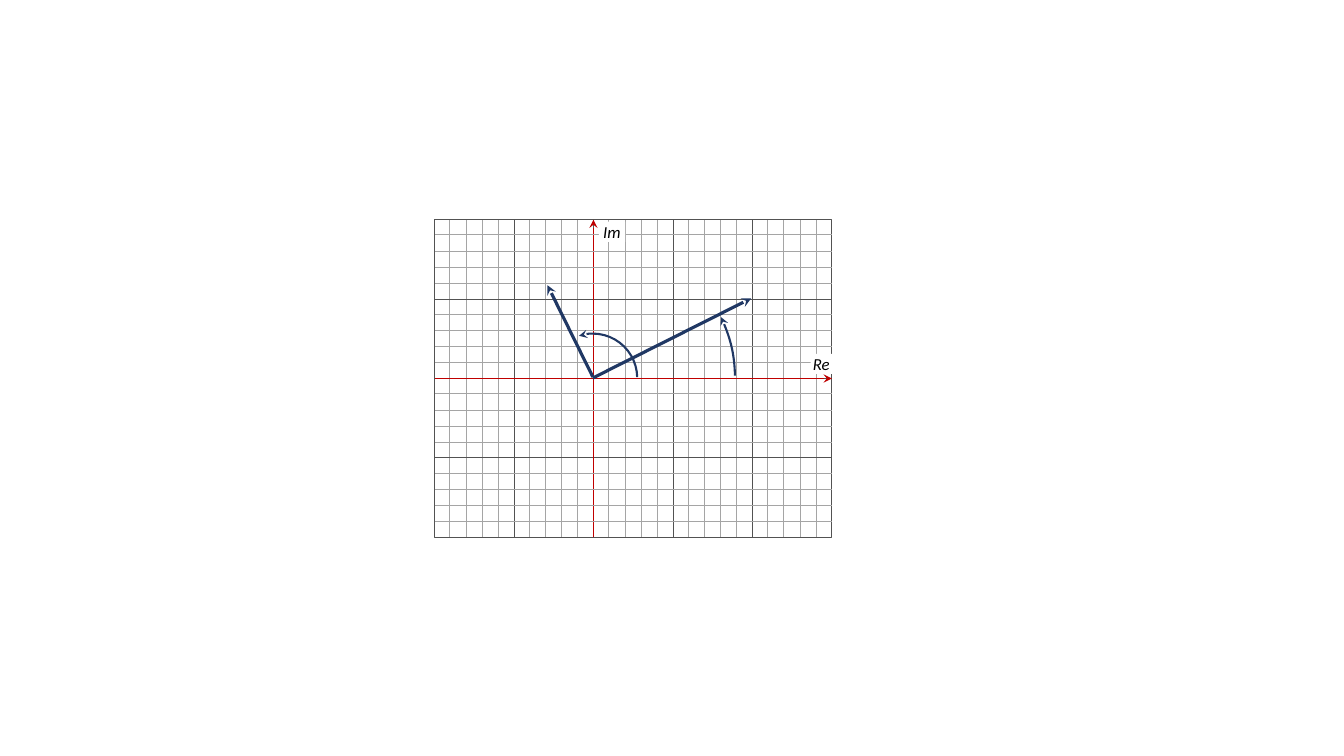
import pptx
import pptx.dml.color
import pptx.enum.shapes
import pptx.enum.text
import pptx.oxml
import pptx.oxml.ns
import pptx.util

Inches = pptx.util.Inches
Pt = pptx.util.Pt
RGBColor = pptx.dml.color.RGBColor
SHAPE = pptx.enum.shapes.MSO_SHAPE

LIGHT_GREY = RGBColor(0xA5, 0xA5, 0xA5)
DARK_GREY = RGBColor(0x52, 0x52, 0x52)
RED = RGBColor(0xC0, 0x00, 0x00)
NAVY = RGBColor(0x20, 0x38, 0x64)
WHITE = RGBColor(0xFF, 0xFF, 0xFF)
BLACK = RGBColor(0x00, 0x00, 0x00)

# Grid, in inches
LEFT, TOP, WIDTH, HEIGHT = 4.31, 2.18, 3.94, 3.15
RIGHT, BOTTOM = LEFT + WIDTH, TOP + HEIGHT
COLUMNS, ROWS = 5, 4
MINOR_OFFSETS = (0.15, 0.31, 0.47, 0.63)
ORIGIN_X = LEFT + 2 * WIDTH / COLUMNS
ORIGIN_Y = TOP + 2 * HEIGHT / ROWS

# Start and end of each vector
VECTORS = [
    ((5.88, 3.75), (7.45, 2.96)),
    ((5.88, 3.74), (5.43, 2.83)),
]
# Text, left, top, width, height
AXIS_LABELS = [
    ("Re", 8.04, 3.51, 0.21, 0.2),
    ("Im", 5.94, 2.2, 0.26, 0.2),
]
# Left, top, diameter, start angle, end angle (degrees clockwise)
ANGLE_ARCS = [
    (4.48, 2.35, 2.81, 334.29, 358.87),
    (5.44, 3.31, 0.88, 251.82, 358.87),
]


def set_line(shape, color, width, arrow=None):
    """Colour the line; arrow is "headEnd" (at start) or "tailEnd" (at end)."""
    shape.line.color.rgb = color
    shape.line.width = Pt(width)
    if arrow:
        end = pptx.oxml.parse_xml(
            f'<a:{arrow} {pptx.oxml.ns.nsdecls("a")} type="stealth"/>')
        shape.line._get_or_add_ln().append(end)


def add_line(page, start, end, color, width, arrow=None):
    line = page.shapes.add_connector(
        pptx.enum.shapes.MSO_CONNECTOR.STRAIGHT,
        *(Inches(value) for value in (*start, *end)))
    set_line(line, color, width, arrow)
    line._element.spPr.append(
        pptx.oxml.parse_xml(f'<a:effectLst {pptx.oxml.ns.nsdecls("a")}/>'))


def add_shape(page, kind, left, top, width, height):
    shape = page.shapes.add_shape(
        kind, Inches(left), Inches(top), Inches(width), Inches(height))
    shape.shadow.inherit = False
    shape.fill.background()
    return shape


def add_columns(page, positions, color, width):
    for x in positions:
        add_line(page, (x, TOP), (x, BOTTOM), color, width)


def add_rows(page, positions, color, width):
    for y in positions:
        add_line(page, (LEFT, y), (RIGHT, y), color, width)


def minor_positions(start, length, count):
    return [start + cell * length / count + offset
            for cell in range(count) for offset in MINOR_OFFSETS]


def major_positions(start, length, count):
    return [start + cell * length / count for cell in range(1, count)]


def add_grid_and_axes(page):
    add_columns(page, minor_positions(LEFT, WIDTH, COLUMNS), LIGHT_GREY, 0.25)
    frame = add_shape(page, SHAPE.RECTANGLE, LEFT, TOP, WIDTH, HEIGHT)
    set_line(frame, DARK_GREY, 0.5)
    add_columns(page, major_positions(LEFT, WIDTH, COLUMNS), DARK_GREY, 0.5)
    add_rows(page, major_positions(TOP, HEIGHT, ROWS), DARK_GREY, 0.5)
    add_line(page, (ORIGIN_X, BOTTOM), (ORIGIN_X, TOP), RED, 1, "tailEnd")
    add_line(page, (LEFT, ORIGIN_Y), (RIGHT, ORIGIN_Y), RED, 1, "tailEnd")
    minor_rows = minor_positions(TOP, HEIGHT, ROWS)
    first_band = len(MINOR_OFFSETS)
    add_rows(page, minor_rows[:first_band], LIGHT_GREY, 0.5)
    add_rows(page, minor_rows[first_band:], LIGHT_GREY, 0.25)


def add_axis_label(page, text, *place):
    box = add_shape(page, SHAPE.RECTANGLE, *place)
    box.fill.solid()
    box.fill.fore_color.rgb = WHITE
    box.line.fill.background()
    frame = box.text_frame
    frame.margin_left = frame.margin_right = 0
    frame.margin_top = frame.margin_bottom = 0
    frame.word_wrap = False
    frame.vertical_anchor = pptx.enum.text.MSO_ANCHOR.TOP
    frame.auto_size = pptx.enum.text.MSO_AUTO_SIZE.SHAPE_TO_FIT_TEXT
    frame.text = text
    para = frame.paragraphs[0]
    para.alignment = pptx.enum.text.PP_ALIGN.CENTER
    para.font.name = "Calibri"
    para.font.size = Pt(12)
    para.font.italic = True
    para.font.color.rgb = BLACK


def add_angle_arc(page, left, top, diameter, start_angle, end_angle):
    arc = add_shape(page, SHAPE.ARC, left, top, diameter, diameter)
    # Angles are stored in 60000ths of a degree, adjustments in 100000ths
    arc.adjustments[0] = start_angle * 0.6
    arc.adjustments[1] = end_angle * 0.6
    set_line(arc, NAVY, 1.5, "headEnd")


def main():
    deck = pptx.Presentation()
    deck.slide_width = Inches(13.33)
    deck.slide_height = Inches(7.5)
    page = deck.slides.add_slide(deck.slide_layouts[6])
    add_grid_and_axes(page)
    for label in AXIS_LABELS:
        add_axis_label(page, *label)
    for start, end in VECTORS:
        add_line(page, start, end, NAVY, 2.25, "tailEnd")
    for arc in ANGLE_ARCS:
        add_angle_arc(page, *arc)
    deck.save("out.pptx")


if __name__ == "__main__":
    main()
